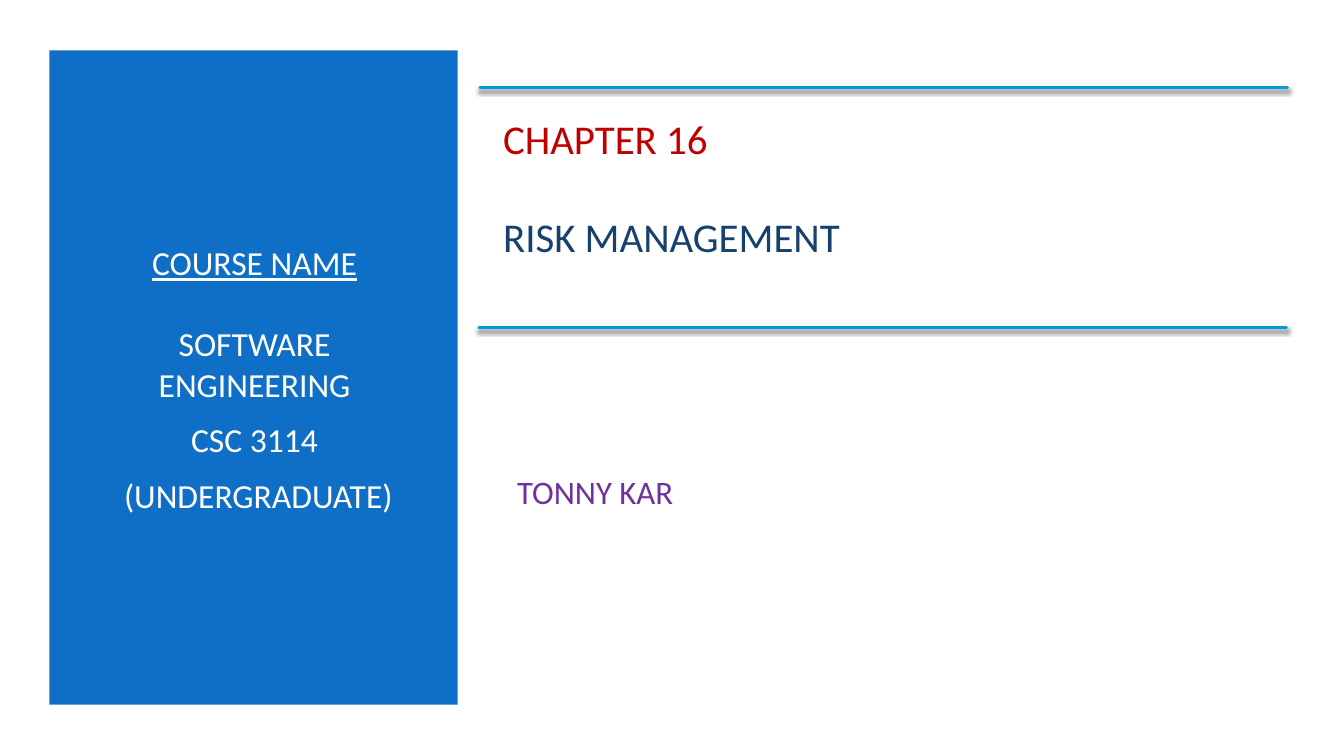
"""Build the opening slide of a software engineering chapter."""
from lxml import etree
from pptx import Presentation
from pptx.dml.color import RGBColor
from pptx.enum.shapes import MSO_CONNECTOR, MSO_SHAPE
from pptx.enum.text import MSO_ANCHOR, MSO_AUTO_SIZE, PP_ALIGN
from pptx.oxml import parse_xml
from pptx.oxml.ns import nsdecls
from pptx.util import Inches, Pt

WHITE = RGBColor(0xFF, 0xFF, 0xFF)
PANEL_BLUE = RGBColor(0x0F, 0x6F, 0xC6)
RULE_BLUE = RGBColor(0x00, 0x9D, 0xD9)
RED = RGBColor(0xC0, 0x00, 0x00)
NAVY = RGBColor(0x17, 0x40, 0x6D)
PURPLE = RGBColor(0x70, 0x30, 0xA0)

RULE_SHADOW = (
    f'<a:effectLst {nsdecls("a")}>'
    '<a:outerShdw blurRad="38100" dist="25400" dir="5400000" rotWithShape="0">'
    '<a:srgbClr val="000000"><a:alpha val="55000"/></a:srgbClr>'
    '</a:outerShdw></a:effectLst>'
)


def add_panel(page, left, top, width, height):
    panel = page.shapes.add_shape(
        MSO_SHAPE.RECTANGLE, Inches(left), Inches(top), Inches(width), Inches(height))
    panel.shadow.inherit = False
    panel.fill.solid()
    panel.fill.fore_color.rgb = PANEL_BLUE
    panel.line.fill.background()


def add_rule(page, left, top, width):
    rule = page.shapes.add_connector(
        MSO_CONNECTOR.STRAIGHT, Inches(left), Inches(top), Inches(left + width), Inches(top))
    rule.line.color.rgb = RULE_BLUE
    rule.line.width = Pt(2)
    rule.line._get_or_add_ln().set("cap", "rnd")
    rule._element.spPr.append(parse_xml(RULE_SHADOW))


def add_box(page, left, top, width, height):
    return page.shapes.add_textbox(
        Inches(left), Inches(top), Inches(width), Inches(height))


def write_lines(box, lines, size, align=PP_ALIGN.LEFT):
    """Write one paragraph for each (text, colour, space before, underline)."""
    frame = box.text_frame
    frame.word_wrap = True
    frame.auto_size = MSO_AUTO_SIZE.NONE
    frame.vertical_anchor = MSO_ANCHOR.MIDDLE
    for index, (text, colour, space, underline) in enumerate(lines):
        para = frame.add_paragraph() if index else frame.paragraphs[0]
        para.alignment = align
        para.space_before = Pt(space)
        para.space_after = Pt(0)
        span = para.add_run()
        span.text = text
        span.font.name = "Calibri"
        span.font.size = Pt(size)
        span.font.color.rgb = colour
        span.font.underline = underline


def main():
    deck = Presentation()
    deck.slide_width, deck.slide_height = Inches(13.33), Inches(7.5)
    page = deck.slides.add_slide(deck.slide_layouts[5])
    page.background.fill.solid()
    page.background.fill.fore_color.rgb = WHITE

    add_panel(page, 0.49, 0.5, 4.05, 6.49)
    write_lines(add_box(page, 0.84, 1.13, 3.37, 5.25), [
        ("COURSE NAME", WHITE, 0, True),
        ("SOFTWARE ENGINEERING", WHITE, 29, False),
        ("CSC 3114", WHITE, 10.8, False),
        (" (UNDERGRADUATE)", WHITE, 10.8, False),
    ], 24, PP_ALIGN.CENTER)

    title = page.shapes.title
    title.left, title.top = Inches(4.89), Inches(1.1)
    title.width, title.height = Inches(7.85), Inches(1.51)
    write_lines(title, [
        ("CHAPTER 16", RED, 0, False),
        ("RISK MANAGEMENT", NAVY, 35, False),
    ], 29.2)

    write_lines(add_box(page, 5.03, 4.1, 6.66, 1.56),
                [("TONNY KAR", PURPLE, 0, False)], 23.4)

    for left, top in ((4.76, 0.87), (4.75, 3.25)):
        add_rule(page, left, top, 8.01)

    deck.save("out.pptx")


if __name__ == "__main__":
    main()
